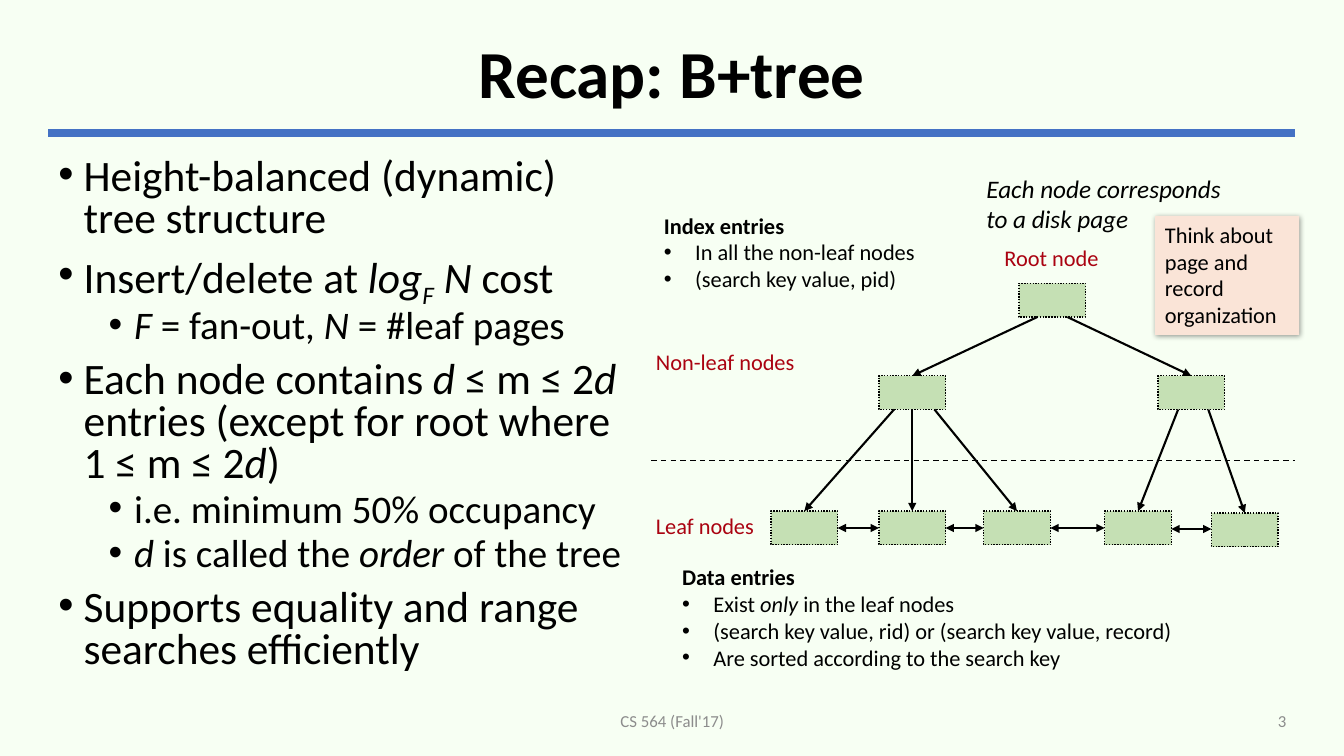
from lxml import etree
from pptx import Presentation
from pptx.dml.color import RGBColor
from pptx.enum.dml import MSO_LINE
from pptx.enum.shapes import MSO_CONNECTOR, MSO_SHAPE
from pptx.enum.text import MSO_ANCHOR, PP_ALIGN
from pptx.oxml import parse_xml
from pptx.oxml.ns import nsdecls, qn
from pptx.util import Cm, Pt

RECT, STRAIGHT = MSO_SHAPE.RECTANGLE, MSO_CONNECTOR.STRAIGHT
LEFT, CENTER, RIGHT = PP_ALIGN.LEFT, PP_ALIGN.CENTER, PP_ALIGN.RIGHT
TOP, MIDDLE = MSO_ANCHOR.TOP, MSO_ANCHOR.MIDDLE
DASH, DOT = MSO_LINE.DASH, MSO_LINE.ROUND_DOT
FONT = "Calibri"
COLORS = {"background": "F7FFF3", "text": "000000", "rule": "4472C4",
          "label": "AA0311", "node": "C5E0B4", "note": "FAE4D7",
          "footer": "8C8C8C"}
NODE_W, NODE_H = 1.68, 0.85


def rgb(name):
    return RGBColor.from_string(COLORS[name])


def style(p, size, color="text", bold=False, italic=False, align=LEFT):
    f = p.font
    f.name, f.size, f.bold, f.italic = FONT, Pt(size), bold, italic
    f.color.rgb = rgb(color)
    p.alignment = align


def add_runs(p, text):
    """Text between asterisks is italic; a leading underscore makes a subscript."""
    for i, piece in enumerate(text.split("*")):
        if piece:
            r = p.add_run()
            r.text = piece.lstrip("_")
            if i % 2:
                r.font.italic = True
            if piece.startswith("_"):
                r.font._element.set("baseline", "-25000")


def add_bullet(p, margin, hanging):
    pPr = p._p.get_or_add_pPr()
    pPr.set("marL", str(Cm(margin)))
    pPr.set("indent", str(-Cm(hanging)))
    for tag, key, value in (("a:buFont", "typeface", "Arial"), ("a:buChar", "char", "•")):
        bullet = etree.Element(qn(tag))
        bullet.set(key, value)
        pPr.insert_element_before(bullet, "a:tabLst", "a:defRPr", "a:extLst")


def add_text(s, box, text, size, anchor=TOP, **kwargs):
    tf = s.shapes.add_textbox(*map(Cm, box)).text_frame
    tf.word_wrap = True
    tf.vertical_anchor = anchor
    p = tf.paragraphs[0]
    add_runs(p, text)
    style(p, size, **kwargs)
    return tf


def add_line(s, start, end, width=1.5, color="text", dash=None, head=False, tail=False):
    line = s.shapes.add_connector(STRAIGHT, *map(Cm, (*start, *end)))
    line.line.width = Pt(width)
    line.line.color.rgb = rgb(color)
    if dash:
        line.line.dash_style = dash
    ln = line.line._get_or_add_ln()
    for tag, wanted in (("a:headEnd", head), ("a:tailEnd", tail)):
        if wanted:
            etree.SubElement(ln, qn(tag)).set("type", "triangle")
    etree.SubElement(line._element.spPr, qn("a:effectLst"))


def add_rect(s, box, fill):
    sp = s.shapes.add_shape(RECT, *map(Cm, box))
    sp.shadow.inherit = False
    sp.fill.solid()
    sp.fill.fore_color.rgb = rgb(fill)
    sp.line.fill.background()
    return sp


def header(s, x, y, w, h):
    title = s.shapes.title
    title.left, title.top, title.width, title.height = map(Cm, (x, y, w, h))
    tf = title.text_frame
    tf.text = "Recap: B+tree"
    tf.vertical_anchor = MIDDLE
    p = tf.paragraphs[0]
    style(p, 48, bold=True, align=CENTER)
    p.line_spacing = 0.9
    add_line(s, (x, y + h + 0.1), (x + w, y + h + 0.1), width=6, color="rule")


def outline(s, x, y, w, h):
    items = ((0, "Height-balanced (dynamic) tree structure"),
             (0, "Insert/delete at *log**_F** N *cost"),
             (1, "*F *= fan-out, *N* = #leaf pages"),
             (0, "Each node contains *d *≤ m ≤ 2*d* entries "
                 "(except for root where 1 ≤ m ≤ 2*d*)"),
             (1, "i.e. minimum 50% occupancy"),
             (1, "*d* is called the *order *of the tree"),
             (0, "Supports equality and range searches efficiently"))
    tf = s.shapes.add_textbox(*map(Cm, (x, y, w, h))).text_frame
    tf.word_wrap = True
    for i, (level, text) in enumerate(items):
        p = tf.add_paragraph() if i else tf.paragraphs[0]
        add_runs(p, text)
        style(p, 27.9 if level else 31)
        p.level = level
        p.line_spacing = 0.8
        p.space_before = Pt(5 if level else 10)
        add_bullet(p, 0.64 + 1.27 * level, 0.64)


def entries(s, box, heading, items):
    tf = add_text(s, box, heading, 16, bold=True)
    for item in items:
        p = tf.add_paragraph()
        add_runs(p, item)
        style(p, 16)
        add_bullet(p, 0.79, 0.79)


def tree(s, x, y, w):
    # Labels of the levels
    for dx, dy, width, text, align in ((0, 2.64, 4.42, "Non-leaf nodes", LEFT),
                                       (0, 6.76, 3.02, "Leaf nodes", LEFT),
                                       (8.71, 0, 3.02, "Root node", CENTER)):
        add_text(s, (x + dx, y + dy, width, 0.94), text, 16, color="label", align=align)

    # Nodes
    root = (x + 9.4, y + 1.12)
    inner = [(x + dx, y + 3.45) for dx in (5.87, 12.9)]
    leaves = [(x + dx, y + dy) for dx, dy in ((3.15, 6.86), (5.87, 6.86), (8.51, 6.86),
                                              (11.56, 6.86), (14.25, 6.91))]
    for left, top in (root, *inner, *leaves):
        node = add_rect(s, (left, top, NODE_W, NODE_H), "node")
        node.line.color.rgb = rgb("text")
        node.line.width = Pt(1)
        node.line.dash_style = DOT

    # Pointers to children, each leaving its parent at an offset from the middle
    families = ((root, inner, (-0.38, 0.38)),
                (inner[0], leaves[:3], (-0.46, 0, 0.56)),
                (inner[1], leaves[3:], (-0.33, 0.43)))
    for (left, top), children, offsets in families:
        for child, offset in zip(children, offsets):
            add_line(s, (left + NODE_W / 2 + offset, top + NODE_H),
                     (child[0] + NODE_W / 2, child[1]), tail=True)

    # Links between neighbouring leaves
    for a, b in zip(leaves, leaves[1:]):
        mid = (a[1] + b[1] + NODE_H) / 2
        add_line(s, (a[0] + NODE_W, mid), (b[0], mid), head=True, tail=True)

    # Border between index and data
    add_line(s, (x + 0.13, y + 5.59), (x + w, y + 5.59), width=1, dash=DASH)


def note(s, x, y, w, h):
    sp = add_rect(s, (x, y, w, h), "note")
    sp._element.spPr.find(qn("a:effectLst")).append(parse_xml(
        f'<a:outerShdw {nsdecls("a")} blurRad="50800" dist="12700" dir="2700000" algn="tl" '
        f'rotWithShape="0"><a:srgbClr val="{COLORS["text"]}"><a:alpha val="40000"/>'
        '</a:srgbClr></a:outerShdw>'))
    tf = sp.text_frame
    tf.word_wrap = True
    tf.vertical_anchor = TOP
    p = tf.paragraphs[0]
    p.text = "Think about page and record organization"
    style(p, 16)


def footer(s, y, h):
    for x, w, text, align in ((11.23, 11.43, "CS 564 (Fall'17)", CENTER),
                              (23.93, 8.74, "3", RIGHT)):
        add_text(s, (x, y, w, h), text, 12, anchor=MIDDLE, color="footer", align=align)


def main():
    prs = Presentation()
    prs.slide_width, prs.slide_height = Cm(33.87), Cm(19.05)
    s = prs.slides.add_slide(prs.slide_layouts[5])
    s.background.fill.solid()
    s.background.fill.fore_color.rgb = rgb("background")
    header(s, 1.22, 0.61, 31.42, 2.64)
    outline(s, 1.22, 3.86, 15.06, 13.79)
    tree(s, 16.28, 6.02, 16.36)
    entries(s, (16.48, 5.21, 7.9, 2.31), "Index entries",
            ("In all the non-leaf nodes", "(search key value, pid)"))
    add_text(s, (24.61, 4.24, 6.65, 1.8), "Each node corresponds to a disk page", 18, italic=True)
    entries(s, (16.94, 14.07, 13.51, 3), "Data entries",
            ("Exist *only* in the leaf nodes",
             "(search key value, rid) or (search key value, record)",
             "Are sorted according to the search key"))
    note(s, 29.11, 5.44, 3.63, 3)
    footer(s, 17.65, 1.02)
    prs.save("out.pptx")


if __name__ == "__main__":
    main()
